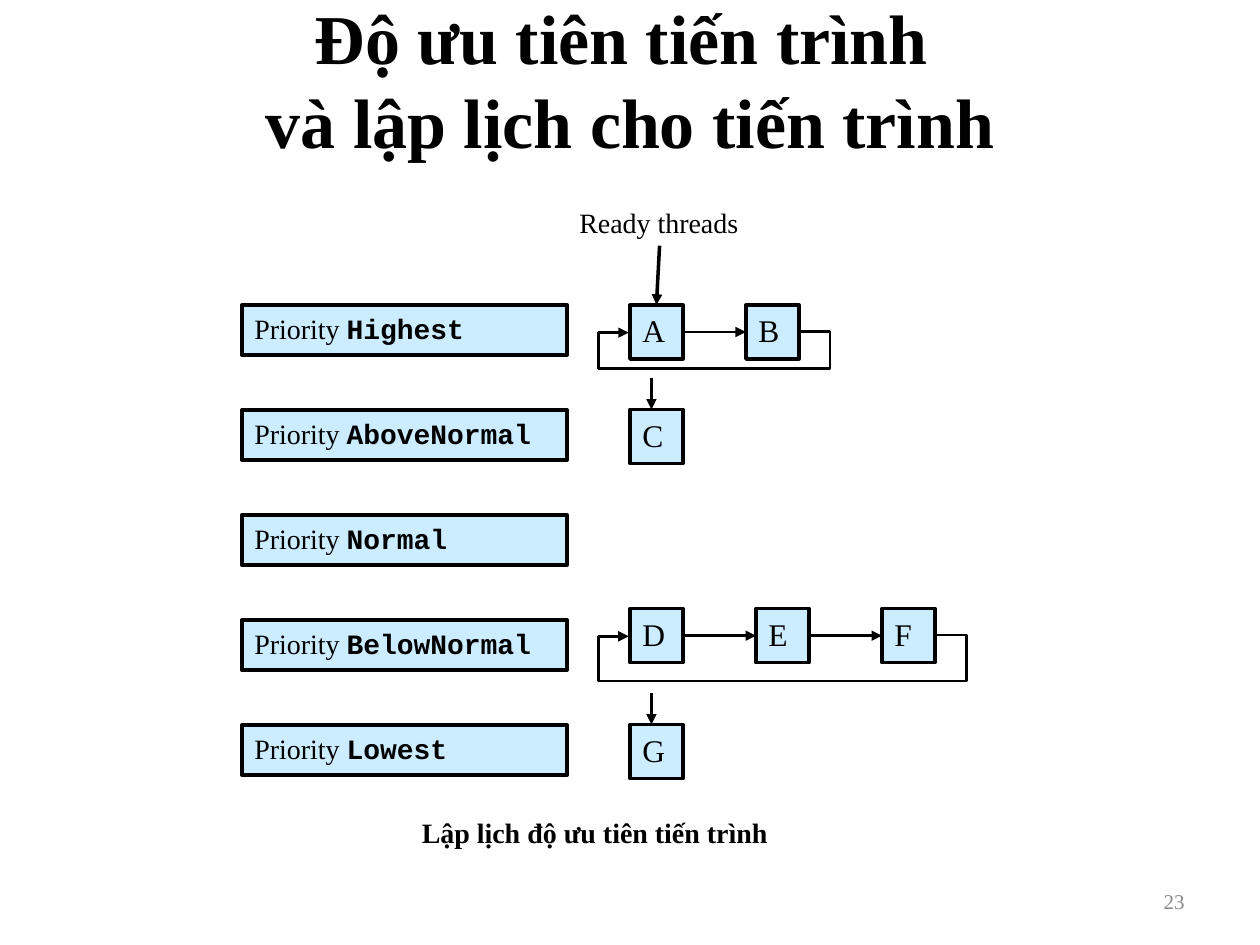
from lxml.etree import SubElement
from pptx import Presentation
from pptx.dml.color import RGBColor
from pptx.enum.shapes import MSO_CONNECTOR as Connector, MSO_SHAPE as Shape
from pptx.enum.text import MSO_ANCHOR as Anchor, MSO_AUTO_SIZE as AutoSize, PP_ALIGN as Align
from pptx.oxml.ns import qn
from pptx.util import Inches, Pt

BLACK, GREY, LIGHT_BLUE = (RGBColor.from_string(color) for color in ("000000", "898989", "CCECFF"))
SERIF, MONO = "Times New Roman", "Courier New"
TOP, LEFT, BOTTOM, RIGHT = range(4)

presentation = Presentation()
presentation.slide_width, presentation.slide_height = Inches(10), Inches(7.5)
slide = presentation.slides.add_slide(presentation.slide_layouts[6])


def add_text(text, left, top, width, height, size=16, bold=False, color=BLACK, fill=None,
             align=Align.LEFT, anchor=Anchor.TOP, wrap=True, grow=True, code=""):
    """Add a text box, or a bordered rectangle if fill is given; code follows in bold monospace."""
    box = [Inches(length) for length in (left, top, width, height)]
    if fill is None:
        shape = slide.shapes.add_textbox(*box)
    else:
        shape = slide.shapes.add_shape(Shape.RECTANGLE, *box)
        shape.shadow.inherit = False
        shape.fill.solid()
        shape.fill.fore_color.rgb = fill
        shape.line.color.rgb = BLACK
        shape.line.width = Pt(2)
    frame = shape.text_frame
    frame.word_wrap = wrap
    frame.vertical_anchor = anchor
    frame.auto_size = AutoSize.SHAPE_TO_FIT_TEXT if grow else AutoSize.NONE
    paragraph = frame.paragraphs[0]
    paragraph.alignment = align
    for index, line in enumerate(text.split("\n")):
        if index:
            paragraph.add_line_break()
        paragraph.add_run().text = line
    for run in paragraph.runs:
        run.font.name, run.font.bold = SERIF, bold
    if code:
        run = paragraph.add_run()
        run.text = code
        run.font.name, run.font.bold = MONO, True
    for run in paragraph.runs:
        run.font.size, run.font.color.rgb = Pt(size), color
    return shape


def add_arrow(start, end, kind=Connector.STRAIGHT, width=1.5):
    arrow = slide.shapes.add_connector(kind, *[Inches(length) for length in (*start, *end)])
    arrow.line.color.rgb = BLACK
    arrow.line.width = Pt(width)
    SubElement(arrow.line._get_or_add_ln(), qn("a:tailEnd"), type="triangle")
    SubElement(arrow._element.spPr, qn("a:effectLst"))
    return arrow


add_text("Độ ưu tiên tiến trình \nvà lập lịch cho tiến trình", 0.5, 0, 9, 1.25, size=40,
         bold=True, align=Align.CENTER, anchor=Anchor.MIDDLE, grow=False)
add_text("23", 7.17, 6.95, 2.33, 0.4, size=12, color=GREY, align=Align.RIGHT,
         anchor=Anchor.MIDDLE, grow=False)
add_text("Lập lịch độ ưu tiên tiến trình", 3.25, 6.42, 4, 0.37, bold=True)

# Priority levels
for row, level in enumerate(["Highest", "AboveNormal", "Normal", "BelowNormal", "Lowest"]):
    add_text("Priority ", 1.92, 2.42 + row * 2.5 / 3, 2.58, 0.4, fill=LIGHT_BLUE, code=level)

# Thread queues: names, top, distance between threads, depth of the return loop
threads = {}
for names, top, step, depth in [("AB", 2.42, 0.92, 0.3), ("C", 3.25, 0, 0),
                                ("DEF", 4.83, 1, 0.37), ("G", 5.75, 0, 0)]:
    for index, name in enumerate(names):
        threads[name] = add_text(name, 5 + index * step, top, 0.42, 0.43, size=18, fill=LIGHT_BLUE)
    for source, target in zip(names, names[1:]):
        arrow = add_arrow((5, top), (6, top))
        arrow.begin_connect(threads[source], RIGHT)
        arrow.end_connect(threads[target], LEFT)
    if depth:
        middle, drop, overhang = top + 0.21, 0.01, 0.24
        start, end = 5.43 + (len(names) - 1) * step, 4.99
        loop = add_arrow((start, middle), (end, middle + drop), Connector.ELBOW)
        geometry = loop._element.spPr.find(qn("a:prstGeom"))
        geometry.set("prst", "bentConnector5")
        guides = geometry.get_or_add_avLst()
        side = overhang / (start - end)
        for number, ratio in enumerate([-side, depth / drop, 1 + side], 1):
            SubElement(guides, qn("a:gd"), name=f"adj{number}", fmla=f"val {round(ratio * 100000)}")

# Arrows down to the single threads
for tip in (3.25, 5.75):
    add_arrow((5.17, tip - 0.25), (5.17, tip))

ready_label = add_text("Ready threads", 4.5, 1.58, 1.47, 0.37, wrap=False)
ready_arrow = add_arrow((5.23, 1.95), (5.21, 2.42), width=2)
ready_arrow.begin_connect(ready_label, BOTTOM)
ready_arrow.end_connect(threads["A"], TOP)

presentation.save("out.pptx")
